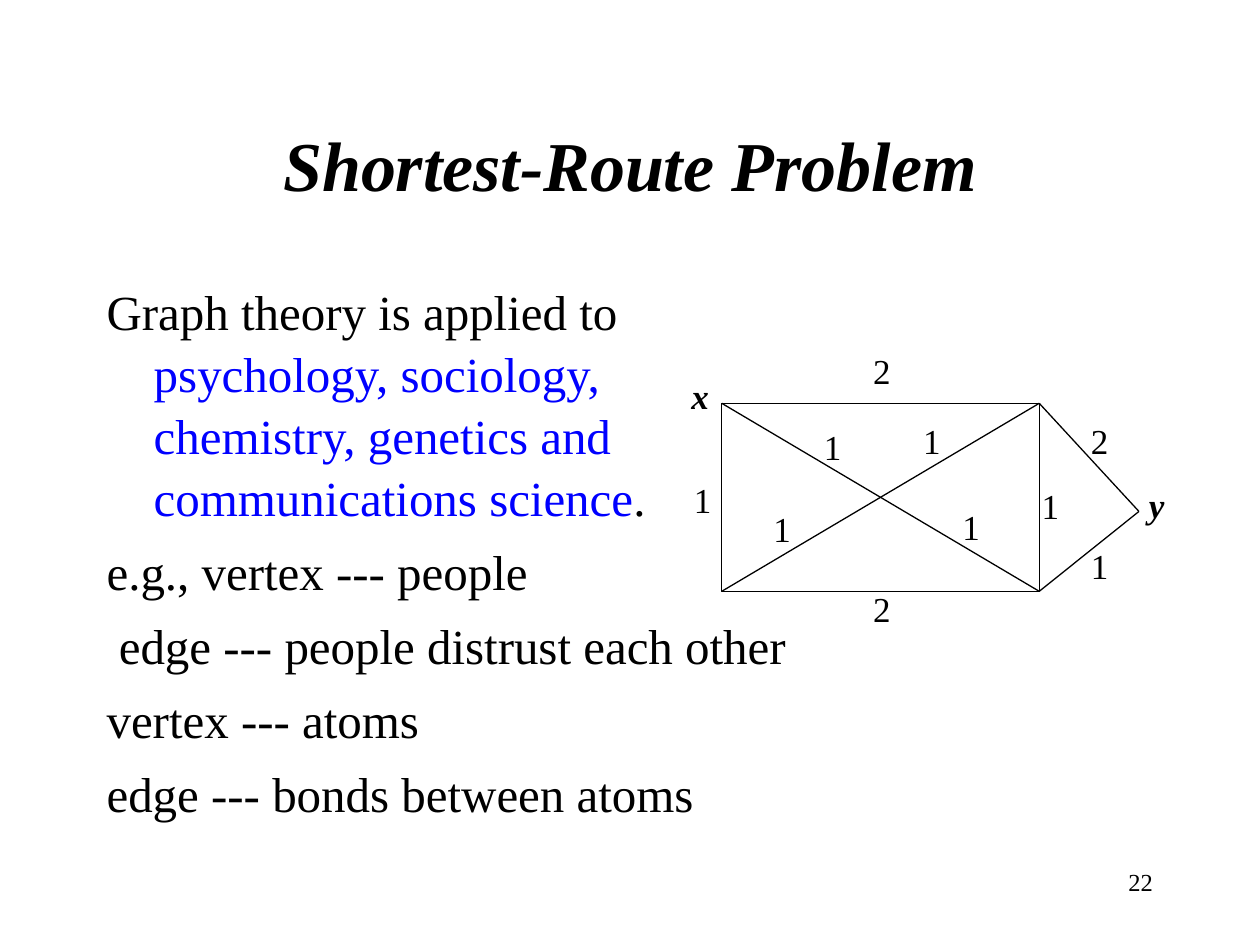
from typing import NamedTuple

from lxml.etree import SubElement
from pptx import Presentation
from pptx.dml.color import RGBColor
from pptx.enum.shapes import MSO_CONNECTOR, MSO_SHAPE
from pptx.enum.text import MSO_ANCHOR, MSO_AUTO_SIZE, PP_ALIGN
from pptx.oxml.ns import qn
from pptx.util import Cm, Pt

FONT = "Times New Roman"
BLACK = "000000"
BLUE = "0000FF"


class Point(NamedTuple):
    x: float
    y: float


class Edge(NamedTuple):
    start: Point
    end: Point


class Label(NamedTuple):
    text: str
    x: float
    y: float


LEFT, TOP, RIGHT, BASE = 14.55, 8.13, 20.95, 11.92
NORTH = Point(RIGHT, TOP)
SOUTH = Point(RIGHT, BASE)
APEX = Point(22.96, 10.31)

EDGES = [
    Edge(Point(LEFT, TOP), SOUTH),
    Edge(Point(LEFT, BASE), NORTH),
    Edge(NORTH, APEX),
    Edge(SOUTH, APEX),
]

WEIGHTS = [
    Label("1", 13.74, 9.53),
    Label("1", 15.34, 10.11),
    Label("1", 16.36, 8.46),
    Label("1", 19.15, 10.06),
    Label("1", 18.36, 8.33),
    Label("1", 20.75, 9.65),
    Label("1", 21.74, 10.85),
    Label("2", 21.74, 8.33),
    Label("2", 17.35, 6.93),
    Label("2", 17.35, 11.71),
]

NODES = [Label("x", 13.69, 7.42), Label("y", 22.91, 9.63)]

LINES = [
    [
        ("Graph theory is applied to ", BLACK),
        ("psychology, sociology, chemistry, genetics and communications science", BLUE),
        (".", BLACK),
    ],
    [("e.g., vertex --- people", BLACK)],
    [(" edge --- people distrust each other", BLACK)],
    [("vertex --- atoms", BLACK)],
    [("edge --- bonds between atoms", BLACK)],
]


def tint(code: str) -> RGBColor:
    return RGBColor.from_string(code)


def write(para, text: str, *, size: float = 20, color: str = BLACK,
          strong: bool = False, align=PP_ALIGN.LEFT) -> None:
    para.alignment = align
    run = para.add_run()
    run.text = text
    font = run.font
    font.name = FONT
    font.size = Pt(size)
    font.bold = font.italic = strong
    font.color.rgb = tint(color)


def place(shape, x: float, y: float, width: float, height: float) -> None:
    shape.left, shape.top = Cm(x), Cm(y)
    shape.width, shape.height = Cm(width), Cm(height)


def add_box(slide, x: float, y: float, width: float, height: float):
    box = slide.shapes.add_textbox(Cm(x), Cm(y), Cm(width), Cm(height))
    box.text_frame.word_wrap = True
    return box.text_frame


def add_title(slide) -> None:
    title = slide.shapes.title
    place(title, 1.9, 1.7, 21.6, 3.18)
    frame = title.text_frame
    frame.auto_size = MSO_AUTO_SIZE.NONE
    frame.vertical_anchor = MSO_ANCHOR.MIDDLE
    write(frame.paragraphs[0], "Shortest-Route Problem", size=40,
          strong=True, align=PP_ALIGN.CENTER)


def add_body(slide) -> None:
    frame = add_box(slide, 1.9, 5.5, 14.4, 11.43)
    for index, line in enumerate(LINES):
        para = frame.add_paragraph() if index else frame.paragraphs[0]
        para.line_spacing = 1.05
        para.space_before = Pt(7 if index else 0)
        props = para._p.get_or_add_pPr()
        props.set("marL", str(Cm(0.95)))
        props.set("indent", str(-Cm(0.95)))
        for text, color in line:
            write(para, text, size=28, color=color)


def add_edge(slide, edge: Edge) -> None:
    line = slide.shapes.add_connector(
        MSO_CONNECTOR.STRAIGHT, Cm(edge.start.x), Cm(edge.start.y),
        Cm(edge.end.x), Cm(edge.end.y))
    line.line.color.rgb = tint(BLACK)
    line.line.width = Pt(0.75)
    SubElement(line._element.spPr, qn("a:effectLst"))


def add_label(slide, label: Label, width: float, strong: bool) -> None:
    frame = add_box(slide, label.x, label.y, width, 1.12)
    write(frame.paragraphs[0], label.text, strong=strong)


def add_graph(slide) -> None:
    frame = slide.shapes.add_shape(
        MSO_SHAPE.RECTANGLE, Cm(LEFT), Cm(TOP), Cm(RIGHT - LEFT), Cm(BASE - TOP))
    frame.shadow.inherit = False
    frame.fill.background()
    frame.line.color.rgb = tint(BLACK)
    frame.line.width = Pt(0.75)
    for edge in EDGES:
        add_edge(slide, edge)
    for label in WEIGHTS:
        add_label(slide, label, 1.4, False)
    for label in NODES:
        add_label(slide, label, 1.24, True)


def main() -> None:
    deck = Presentation()
    deck.slide_width, deck.slide_height = Cm(25.4), Cm(19.05)
    slide = deck.slides.add_slide(deck.slide_layouts[5])
    number = add_box(slide, 18.21, 17.35, 5.28, 1.27)
    write(number.paragraphs[0], "22", size=14, align=PP_ALIGN.RIGHT)
    add_title(slide)
    add_body(slide)
    add_graph(slide)
    deck.save("out.pptx")


if __name__ == "__main__":
    main()
